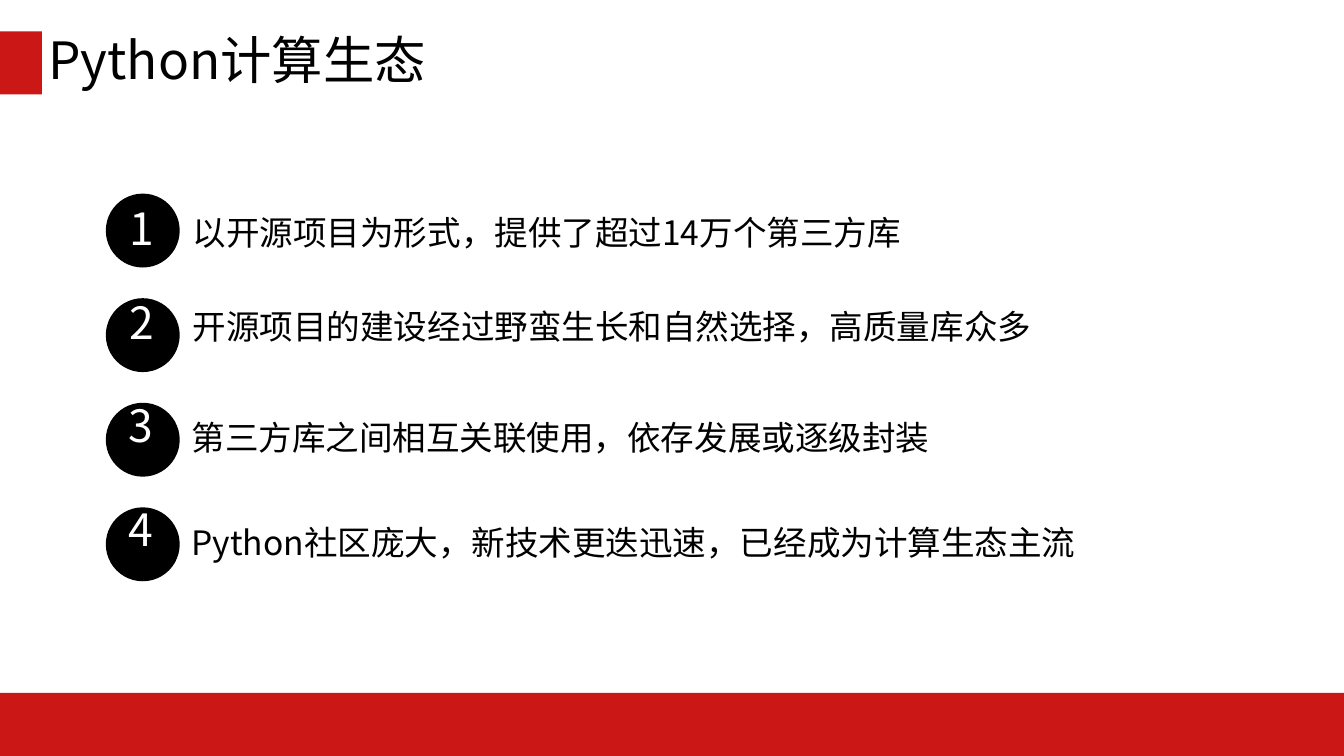
from dataclasses import dataclass

from lxml import etree
from pptx import Presentation
from pptx.dml.color import RGBColor
from pptx.enum.shapes import MSO_SHAPE
from pptx.enum.text import MSO_ANCHOR, MSO_AUTO_SIZE, PP_ALIGN
from pptx.oxml.ns import qn
from pptx.util import Inches, Pt

RECTANGLE = MSO_SHAPE.RECTANGLE
OVAL = MSO_SHAPE.OVAL
TOP = MSO_ANCHOR.TOP
LEFT = PP_ALIGN.LEFT
GROW = MSO_AUTO_SIZE.SHAPE_TO_FIT_TEXT

COLUMNS, ROWS = 32, 18
SLIDE_WIDTH, SLIDE_HEIGHT = Inches(18.9), Inches(10.63)
TITLE_ONLY = 5


@dataclass(frozen=True)
class Theme:
    font: str = "Noto Sans CJK SC"
    red: str = "CC1717"
    ink: str = "000000"
    paper: str = "FFFFFF"
    title_size: int = 52
    text_size: int = 34
    number_size: int = 45
    number_percent: int = 132
    line_points: int = 44
    item_gap: float = 51.9


THEME = Theme()

TITLE = "Python计算生态"
NUMBERED_POINTS = [
    "以开源项目为形式，提供了超过14万个第三方库",
    "开源项目的建设经过野蛮生长和自然选择，高质量库众多",
]
LOOSE_NUMBERS = ["3", "4"]
LOOSE_POINTS = [
    ("第三方库之间相互关联使用，依存发展或逐级封装", 9.92, 17.64),
    ("Python社区庞大，新技术更迭迅速，已经成为计算生态主流", 12.43, 21.15),
]


def columns(count):
    return round(SLIDE_WIDTH * count / COLUMNS)


def rows(count):
    return round(SLIDE_HEIGHT * count / ROWS)


def grid_box(left, top, width, height):
    return columns(left), rows(top), columns(width), rows(height)


def add_filled_shape(slide, kind, box, color):
    shape = slide.shapes.add_shape(kind, *grid_box(*box))
    shape.shadow.inherit = False
    shape.fill.solid()
    shape.fill.fore_color.rgb = RGBColor.from_string(color)
    shape.line.fill.background()


def prepare_frame(text_frame):
    text_frame.word_wrap = True
    text_frame.auto_size = GROW
    text_frame.vertical_anchor = TOP
    text_frame.margin_left = text_frame.margin_right = 0
    text_frame.margin_top = text_frame.margin_bottom = 0


def format_paragraph(paragraph, size, color=THEME.ink, space_before=1):
    paragraph.alignment = LEFT
    paragraph.space_before = Pt(space_before)
    for run in paragraph.runs:
        run.font.size = Pt(size)
        run.font.name = THEME.font
        run.font.color.rgb = RGBColor.from_string(color)
        properties = run._r.get_or_add_rPr()
        etree.SubElement(properties, qn("a:ea"), typeface=THEME.font)


def number_paragraph(paragraph):
    paragraph.line_spacing = Pt(THEME.line_points)
    properties = paragraph._p.get_or_add_pPr()
    properties.set("marL", str(columns(1.54)))
    properties.set("indent", str(-columns(1.51)))
    bullet_color = etree.SubElement(properties, qn("a:buClr"))
    etree.SubElement(bullet_color, qn("a:srgbClr"), val=THEME.paper)
    etree.SubElement(properties, qn("a:buSzPct"), val=str(THEME.number_percent * 1000))
    etree.SubElement(properties, qn("a:buFont"), typeface=THEME.font)
    etree.SubElement(properties, qn("a:buAutoNum"), type="arabicPlain")


def format_title(slide):
    title = slide.shapes.title
    title.left, title.top, title.width, title.height = grid_box(1.15, 0.68, 9.08, 1.52)
    title.text_frame.text = TITLE
    prepare_frame(title.text_frame)
    format_paragraph(title.text_frame.paragraphs[0], THEME.title_size)


def add_text(slide, text, box):
    text_frame = slide.shapes.add_textbox(*grid_box(*box)).text_frame
    text_frame.text = text
    prepare_frame(text_frame)
    return text_frame


def add_numbered_list(slide):
    lines = NUMBERED_POINTS + LOOSE_NUMBERS
    text_frame = add_text(slide, "\n".join(lines), (3.05, 4.96, 21.57, 8.53))
    for index, paragraph in enumerate(text_frame.paragraphs):
        gap = THEME.item_gap if index else 0
        if index < len(NUMBERED_POINTS):
            format_paragraph(paragraph, THEME.text_size, space_before=gap)
            number_paragraph(paragraph)
        else:
            format_paragraph(paragraph, THEME.number_size, THEME.paper, gap)


def add_loose_point(slide, text, top, width):
    text_frame = add_text(slide, text, (4.56, top, width, 1.02))
    format_paragraph(text_frame.paragraphs[0], THEME.text_size)


def main():
    presentation = Presentation()
    presentation.slide_width = SLIDE_WIDTH
    presentation.slide_height = SLIDE_HEIGHT
    slide = presentation.slides.add_slide(presentation.slide_layouts[TITLE_ONLY])

    add_filled_shape(slide, RECTANGLE, (0, 16.5, COLUMNS, 1.5), THEME.red)
    add_filled_shape(slide, RECTANGLE, (0, 0.75, 1, 1.5), THEME.red)
    format_title(slide)
    for index in range(len(NUMBERED_POINTS) + len(LOOSE_NUMBERS)):
        add_filled_shape(slide, OVAL, (2.52, 4.61 + 2.49 * index, 1.76, 1.76), THEME.ink)
    add_numbered_list(slide)
    for text, top, width in LOOSE_POINTS:
        add_loose_point(slide, text, top, width)

    presentation.save("out.pptx")


if __name__ == "__main__":
    main()
